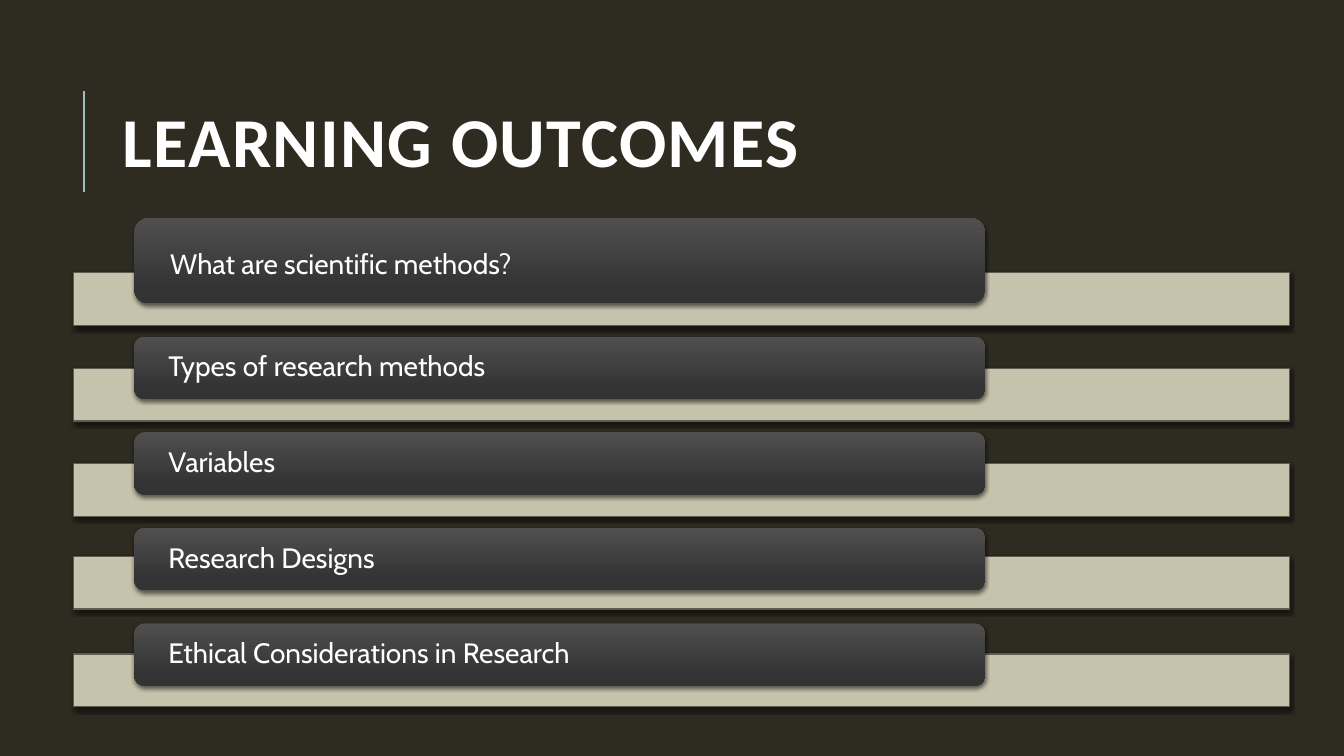
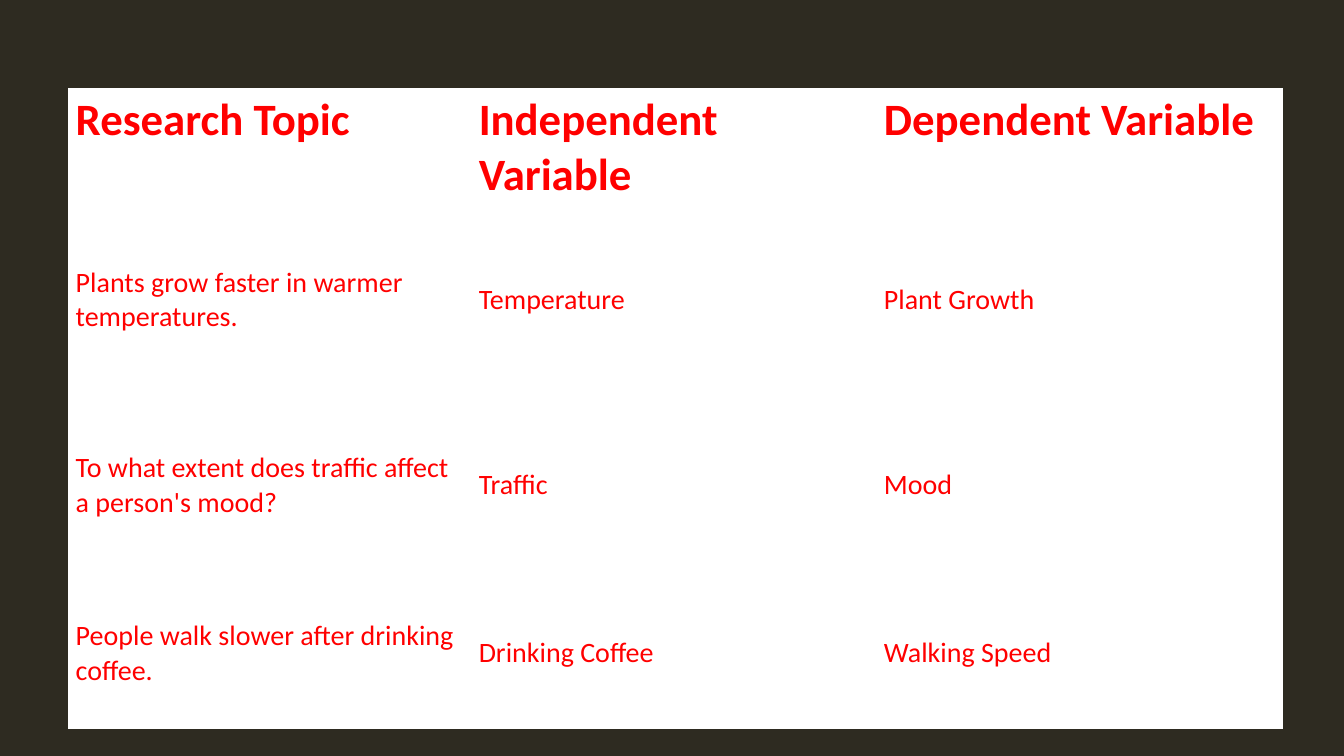
import pptx
import pptx.dml.color
import pptx.enum.shapes
import pptx.enum.text
import pptx.oxml
import pptx.oxml.ns
import pptx.util

Pt = pptx.util.Pt
SHAPES = pptx.enum.shapes.MSO_SHAPE
ANCHOR = pptx.enum.text.MSO_ANCHOR
ALIGN = pptx.enum.text.PP_ALIGN

BACKGROUND = "2E2B21"
ACCENT = "9CBEBD"
WHITE = "FFFFFF"
RED = "FF0000"
BAR_FILL = "D8D6BE"
BAR_LINE = "605B4F"
CARD_TOP = "4F4F4F"
CARD_BOTTOM = "333333"

TITLE_FONT = TABLE_FONT = "Calibri"
CARD_FONT = "Cabin"
PLAIN_TABLE_STYLE = "{2D5ABB26-0587-4C30-8999-92F81FD0307C}"

# Text, card height, distance of the bar's top above the card's bottom
OUTCOMES = [
    ("What are scientific methods?", 61.2, 22),
    ("Types of research methods", 44.6, 22),
    ("Variables", 44.6, 22.3),
    ("Research Designs", 44.6, 24.3),
    ("Ethical Considerations in Research", 44.6, 22.8),
]

VARIABLES = [
    ("Research Topic", "Independent Variable", "Dependent Variable"),
    ("Plants grow faster in warmer temperatures.", "Temperature", "Plant Growth"),
    ("To what extent does traffic affect a person's mood?", "Traffic", "Mood"),
    ("People walk slower after drinking coffee.", "Drinking Coffee", "Walking Speed"),
]
ROW_HEIGHTS = [68, 132.2, 132.2, 108]


def rgb(color):
    return pptx.dml.color.RGBColor.from_string(color)


def add_xml(parent, tag, **attributes):
    child = pptx.oxml.parse_xml(f"<a:{tag} {pptx.oxml.ns.nsdecls('a')}/>")
    for name, value in attributes.items():
        child.set(name, str(value))
    parent.append(child)
    return child


def add_run(paragraph, text, font, size, color, bold=False):
    run = paragraph.add_run()
    run.text = text
    run.font.name = font
    run.font.size = Pt(size)
    run.font.bold = bold
    run.font.color.rgb = rgb(color)
    return run


def set_margins(target, left, top, right, bottom):
    target.margin_left, target.margin_top = Pt(left), Pt(top)
    target.margin_right, target.margin_bottom = Pt(right), Pt(bottom)


def add_shadowed_shape(slide, kind, left, top, width, height):
    shape = slide.shapes.add_shape(kind, Pt(left), Pt(top), Pt(width), Pt(height))
    shape.shadow.inherit = False
    effects = shape._element.spPr.find(pptx.oxml.ns.qn("a:effectLst"))
    shadow = add_xml(effects, "outerShdw", blurRad=Pt(3), dist=Pt(2),
                     dir=90 * 60000, rotWithShape=0)
    add_xml(add_xml(shadow, "srgbClr", val="000000"), "alpha", val=55000)
    return shape


def style_master(presentation, slide):
    """Set the shared background and accent rule; the rule is drawn on a slide, then moved."""
    master = presentation.slide_master
    background = master.background.fill
    background.solid()
    background.fore_color.rgb = rgb(BACKGROUND)
    rule = slide.shapes.add_connector(
        pptx.enum.shapes.MSO_CONNECTOR.STRAIGHT, Pt(59.8), Pt(136.8), Pt(59.8), Pt(64.8))
    rule.line.color.rgb = rgb(ACCENT)
    rule.line.width = Pt(1.5)
    add_xml(rule._element.spPr, "effectLst")
    rule._element.nvCxnSpPr.cNvPr.set("id", "20")
    master.shapes._spTree.append(rule._element)


def add_title(slide, text, left, top, width, height):
    title = slide.shapes.title
    title.left, title.top = Pt(left), Pt(top)
    title.width, title.height = Pt(width), Pt(height)
    frame = title.text_frame
    frame.word_wrap = True
    frame.vertical_anchor = ANCHOR.MIDDLE
    paragraph = frame.paragraphs[0]
    paragraph.alignment = ALIGN.LEFT
    paragraph.line_spacing = 0.8
    run = add_run(paragraph, text, TITLE_FONT, 50, WHITE, bold=True)
    run.font._element.set("spc", "100")


def add_bar(slide, left, top, width, height):
    bar = add_shadowed_shape(slide, SHAPES.RECTANGLE, left, top, width, height)
    bar.fill.solid()
    bar.fill.fore_color.rgb = rgb(BAR_FILL)
    fill_color = bar._element.spPr.find(".//" + pptx.oxml.ns.qn("a:srgbClr"))
    add_xml(fill_color, "alpha", val=90000)
    bar.line.color.rgb = rgb(BAR_LINE)
    bar.line.width = Pt(1)


def add_card(slide, text, left, top, width, height, inset, text_drop):
    card = add_shadowed_shape(slide, SHAPES.ROUNDED_RECTANGLE, left, top, width, height)
    card.adjustments[0] = 0.167
    card.fill.gradient()
    card.fill.gradient_angle = 270
    stops = zip(card.fill.gradient_stops, (0, 0.84), (CARD_TOP, CARD_BOTTOM))
    for stop, position, color in stops:
        stop.position = position
        stop.color.rgb = rgb(color)
    card.line.fill.background()
    frame = card.text_frame
    frame.word_wrap = True
    frame.vertical_anchor = ANCHOR.MIDDLE
    set_margins(frame, inset, text_drop, inset, 0)
    paragraph = frame.paragraphs[0]
    paragraph.alignment = ALIGN.LEFT
    paragraph.line_spacing = 0.9
    add_run(paragraph, text, CARD_FONT, 20, WHITE)


def add_outcome_list(slide, left, top, width):
    pitch = 68.3
    first_bottom = top + OUTCOMES[0][1]
    for index, (text, card_height, overlap) in enumerate(OUTCOMES):
        card_bottom = first_bottom + index * pitch
        inset, text_drop = (22.6, 7.5) if index == 0 else (22.2, 0)
        add_bar(slide, left, card_bottom - overlap, width, 37.8)
        add_card(slide, text, left + 43.4, card_bottom - card_height,
                 0.7 * width, card_height, inset, text_drop)


def add_variable_table(slide, left, top, width):
    frame = slide.shapes.add_table(
        len(VARIABLES), len(VARIABLES[0]),
        Pt(left), Pt(top), Pt(width), Pt(sum(ROW_HEIGHTS)))
    table = frame.table
    table.first_row = table.horz_banding = False
    style = frame._element.find(".//" + pptx.oxml.ns.qn("a:tableStyleId"))
    style.text = PLAIN_TABLE_STYLE
    for column in table.columns:
        column.width = Pt(width / len(VARIABLES[0]))
    for row_index, (texts, height) in enumerate(zip(VARIABLES, ROW_HEIGHTS)):
        is_header = row_index == 0
        table.rows[row_index].height = Pt(height)
        for column_index, text in enumerate(texts):
            cell = table.cell(row_index, column_index)
            cell.fill.solid()
            cell.fill.fore_color.rgb = rgb(WHITE)
            cell.vertical_anchor = ANCHOR.TOP if is_header else ANCHOR.MIDDLE
            set_margins(cell, 5.8 if column_index == 0 else 4.3, 3.6, 4.3, 3.6)
            add_run(cell.text_frame.paragraphs[0], text, TABLE_FONT,
                    32 if is_header else 20, RED, bold=is_header)


def build_outcomes_slide(presentation):
    slide = presentation.slides.add_slide(presentation.slide_layouts[5])
    add_title(slide, "LEARNING OUTCOMES", 80.6, 46, 765.4, 118)
    add_outcome_list(slide, 52.5, 155.5, 868.4)
    return slide


def build_variables_slide(presentation):
    slide = presentation.slides.add_slide(presentation.slide_layouts[6])
    add_variable_table(slide, 48.3, 62.9, 868.2)


def main():
    presentation = pptx.Presentation()
    presentation.slide_width, presentation.slide_height = Pt(960), Pt(540)
    outcomes_slide = build_outcomes_slide(presentation)
    style_master(presentation, outcomes_slide)
    build_variables_slide(presentation)
    presentation.save("out.pptx")


if __name__ == "__main__":
    main()
